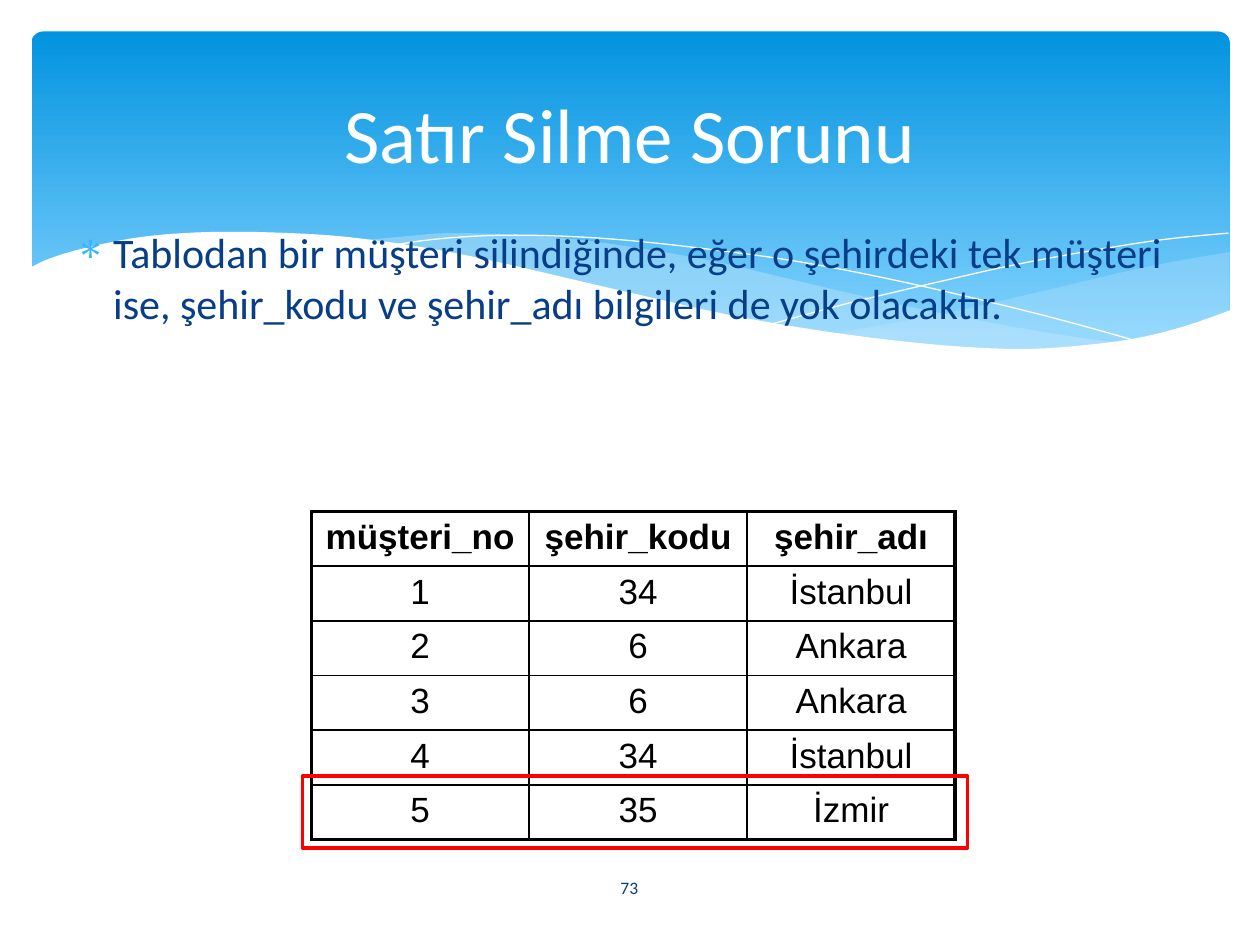
from itertools import product

from lxml import etree
from pptx import Presentation
from pptx.dml.color import RGBColor
from pptx.enum.shapes import MSO_SHAPE
from pptx.enum.text import MSO_ANCHOR, PP_ALIGN
from pptx.oxml.ns import qn
from pptx.util import Inches, Pt

CENTER, LEFT = PP_ALIGN.CENTER, PP_ALIGN.LEFT
MIDDLE, TOP = MSO_ANCHOR.MIDDLE, MSO_ANCHOR.TOP
RECTANGLE, ROUNDED = MSO_SHAPE.RECTANGLE, MSO_SHAPE.ROUNDED_RECTANGLE

# Content
TITLE = "Satır Silme Sorunu"
BODY = ("Tablodan bir müşteri silindiğinde, eğer o şehirdeki tek müşteri ise, "
        "şehir_kodu ve şehir_adı bilgileri de yok olacaktır.")
PAGE_NUMBER = "73"
ROWS = [
    ("müşteri_no", "şehir_kodu", "şehir_adı"),
    ("1", "34", "İstanbul"),
    ("2", "6", "Ankara"),
    ("3", "6", "Ankara"),
    ("4", "34", "İstanbul"),
    ("5", "35", "İzmir"),
]
COLUMN_WIDTHS = (1.73, 1.73, 1.65)
TABLE_LEFT, TABLE_TOP, TABLE_HEIGHT = 2.47, 4.06, 2.6


class Theme:
    heading_font, table_font = "Calibri", "Arial"
    title_size, body_size, table_size, number_size = 44, 24, 20, 10
    sky_top, sky_bottom = "0293E0", "83D3FE"
    mist, white, black = "C6E7FC", "FFFFFF", "000000"
    text, bullet, highlight = "073E87", "31B6FD", "FF0000"
    outer_border, inner_border, highlight_border = 2.25, 1, 2


# Waves: each is a list of edges, and each edge a list of points on a curve
RIGHT_WAVE = [
    [(9.76, 2), (9.35, 2.07), (8.91, 2.16), (8.32, 2.3), (7.53, 2.48), (6.61, 2.65)],
    [(6.61, 2.65), (7.05, 2.71), (7.57, 2.76), (8.14, 2.78), (8.63, 2.75),
     (9.05, 2.69), (9.42, 2.59), (9.76, 2.47)],
]
MIDDLE_WAVE = [
    [(8.93, 2.73), (8.37, 2.65), (7.75, 2.54), (7.06, 2.4), (6.29, 2.22), (5.69, 2.08),
     (5.14, 1.98), (4.65, 1.91), (4.2, 1.87), (3.61, 1.85), (3.28, 1.87), (2.86, 1.91)],
    [(2.86, 1.91), (3.42, 1.99), (4.04, 2.11), (4.49, 2.22), (5.3, 2.4), (6.01, 2.55),
     (6.65, 2.66), (7.22, 2.74), (7.73, 2.77), (8.18, 2.78), (8.57, 2.77), (8.93, 2.73)],
]
FALLING_LINE = [
    [(3.09, 1.95), (3.44, 1.9), (3.87, 1.87), (4.33, 1.87), (4.89, 1.9), (5.56, 1.97),
     (6.36, 2.08), (7.27, 2.26), (8.31, 2.51), (9.07, 2.72)],
]
RISING_LINE = [
    [(6.13, 2.57), (6.72, 2.41), (7.48, 2.23), (8.06, 2.1), (8.66, 1.99),
     (9.24, 1.9), (9.75, 1.85)],
]
WHITE_WAVE = [
    [(9.77, 2.46), (9.4, 2.59), (8.99, 2.69), (8.5, 2.75), (8.09, 2.77), (7.61, 2.75),
     (7.08, 2.7), (6.48, 2.62), (5.79, 2.5), (5.03, 2.33), (4.47, 2.2), (3.91, 2.07),
     (3.4, 1.97), (2.92, 1.9), (2.5, 1.86), (1.93, 1.84), (1.46, 1.85), (1.06, 1.89),
     (0.67, 1.97), (0.4, 2.05), (0.23, 2.13)],
    [(0.23, 3.29), (9.77, 3.29)],
]


def color(value):
    return RGBColor.from_string(value)


def smooth(points, steps=4):
    """Return points on a Catmull-Rom curve through the given points."""
    padded = [points[0], *points, points[-1]]
    curve = [points[0]]
    for a, b, c, d in zip(padded, padded[1:], padded[2:], padded[3:]):
        for step in range(1, steps + 1):
            t = step / steps
            curve.append(tuple(
                (2 * q + (r - p) * t + (2 * p - 5 * q + 4 * r - s) * t ** 2
                 + (3 * q - p - 3 * r + s) * t ** 3) / 2
                for p, q, r, s in zip(a, b, c, d)))
    return curve


def add_wave(slide, edges, fill=None, alpha=None):
    """Draw a closed filled wave, or an open hairline when there is no fill."""
    points = [(Inches(x), Inches(y)) for edge in edges for x, y in smooth(edge)]
    builder = slide.shapes.build_freeform(*points[0])
    builder.add_line_segments(points[1:], close=fill is not None)
    shape = builder.convert_to_shape()
    shape.shadow.inherit = False
    if fill is None:
        shape.fill.background()
        shape.line.color.rgb = color(Theme.white)
        shape.line.width = Pt(0)
        return
    shape.line.fill.background()
    shape.fill.solid()
    shape.fill.fore_color.rgb = color(fill)
    if alpha:
        rgb = shape.fill._xPr.find(".//" + qn("a:srgbClr"))
        etree.SubElement(rgb, qn("a:alpha"), val=str(alpha * 1000))


def add_run(paragraph, text, font, size, rgb, bold=False):
    run = paragraph.add_run()
    run.text = text
    run.font.name, run.font.size, run.font.bold = font, Pt(size), bold
    run.font.color.rgb = color(rgb)


def add_text(slide, box, text, size, rgb, alignment=CENTER, anchor=MIDDLE):
    frame = slide.shapes.add_textbox(*map(Inches, box)).text_frame
    frame.word_wrap = True
    frame.vertical_anchor = anchor
    paragraph = frame.paragraphs[0]
    paragraph.alignment = alignment
    add_run(paragraph, text, Theme.heading_font, size, rgb)
    return paragraph


def add_bullet(paragraph):
    properties = paragraph._p.get_or_add_pPr()
    properties.set("marL", str(Inches(0.3)))
    properties.set("indent", str(Inches(-0.3)))
    bullet_color = etree.SubElement(properties, qn("a:buClr"))
    etree.SubElement(bullet_color, qn("a:srgbClr"), val=Theme.bullet)
    etree.SubElement(properties, qn("a:buFont"), typeface="Symbol")
    etree.SubElement(properties, qn("a:buChar"), char="∗")


def set_borders(cell, outer_sides):
    properties = cell._tc.get_or_add_tcPr()
    for side, is_outer in outer_sides.items():
        width = Theme.outer_border if is_outer else Theme.inner_border
        line = etree.SubElement(properties, qn("a:ln" + side), w=str(Pt(width)))
        fill = etree.SubElement(line, qn("a:solidFill"))
        etree.SubElement(fill, qn("a:srgbClr"), val=Theme.black)


def add_customer_table(slide):
    row_count, column_count = len(ROWS), len(COLUMN_WIDTHS)
    table = slide.shapes.add_table(
        row_count, column_count, Inches(TABLE_LEFT), Inches(TABLE_TOP),
        Inches(sum(COLUMN_WIDTHS)), Inches(TABLE_HEIGHT)).table
    table.first_row = table.horz_banding = False
    for column, width in zip(table.columns, COLUMN_WIDTHS):
        column.width = Inches(width)
    for r, c in product(range(row_count), range(column_count)):
        cell = table.cell(r, c)
        set_borders(cell, {"L": c == 0, "R": c == column_count - 1,
                           "T": r == 0, "B": r == row_count - 1})
        cell.fill.background()
        paragraph = cell.text_frame.paragraphs[0]
        paragraph.alignment = CENTER
        add_run(paragraph, ROWS[r][c], Theme.table_font, Theme.table_size,
                Theme.black, bold=r == 0)


def main():
    presentation = Presentation()
    presentation.slide_width, presentation.slide_height = Inches(10), Inches(7.5)
    slide = presentation.slides.add_slide(presentation.slide_layouts[6])

    # Sky banner
    banner = slide.shapes.add_shape(ROUNDED, *map(Inches, (0.25, 0.25, 9.51, 2.7)))
    banner.adjustments[0] = 0.034
    banner.shadow.inherit = False
    banner.line.fill.background()
    banner.fill.gradient()
    banner.fill.gradient_angle = 270
    stops = zip(banner.fill.gradient_stops, (0, 0.9), (Theme.sky_top, Theme.sky_bottom))
    for stop, position, rgb in stops:
        stop.position, stop.color.rgb = position, color(rgb)

    # Waves
    add_wave(slide, RIGHT_WAVE, Theme.mist, 29)
    add_wave(slide, MIDDLE_WAVE, Theme.mist, 40)
    add_wave(slide, FALLING_LINE)
    add_wave(slide, RISING_LINE)
    add_wave(slide, WHITE_WAVE, Theme.white)

    # Texts
    add_text(slide, (4.36, 6.84, 1.27, 0.4), PAGE_NUMBER, Theme.number_size, Theme.text)
    body = add_text(slide, (0.5, 1.75, 9, 2.08), BODY, Theme.body_size, Theme.text, LEFT, TOP)
    add_bullet(body)
    add_text(slide, (0.5, 0.37, 9, 1.37), TITLE, Theme.title_size, Theme.white)

    # Table with its last row marked
    add_customer_table(slide)
    marker = slide.shapes.add_shape(RECTANGLE, *map(Inches, (2.4, 6.16, 5.28, 0.57)))
    marker.shadow.inherit = False
    marker.fill.background()
    marker.line.color.rgb = color(Theme.highlight)
    marker.line.width = Pt(Theme.highlight_border)

    presentation.save("out.pptx")


if __name__ == "__main__":
    main()
